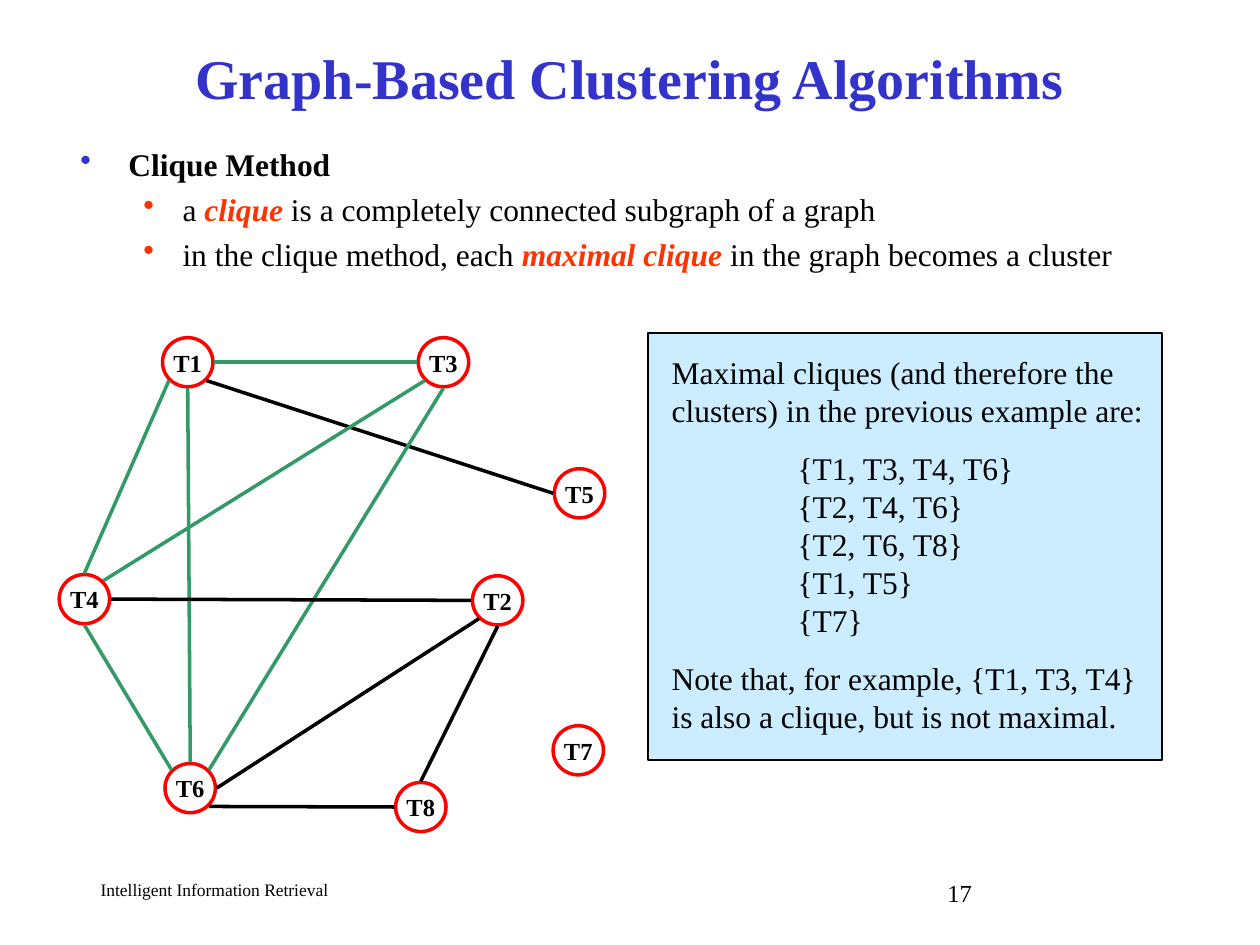
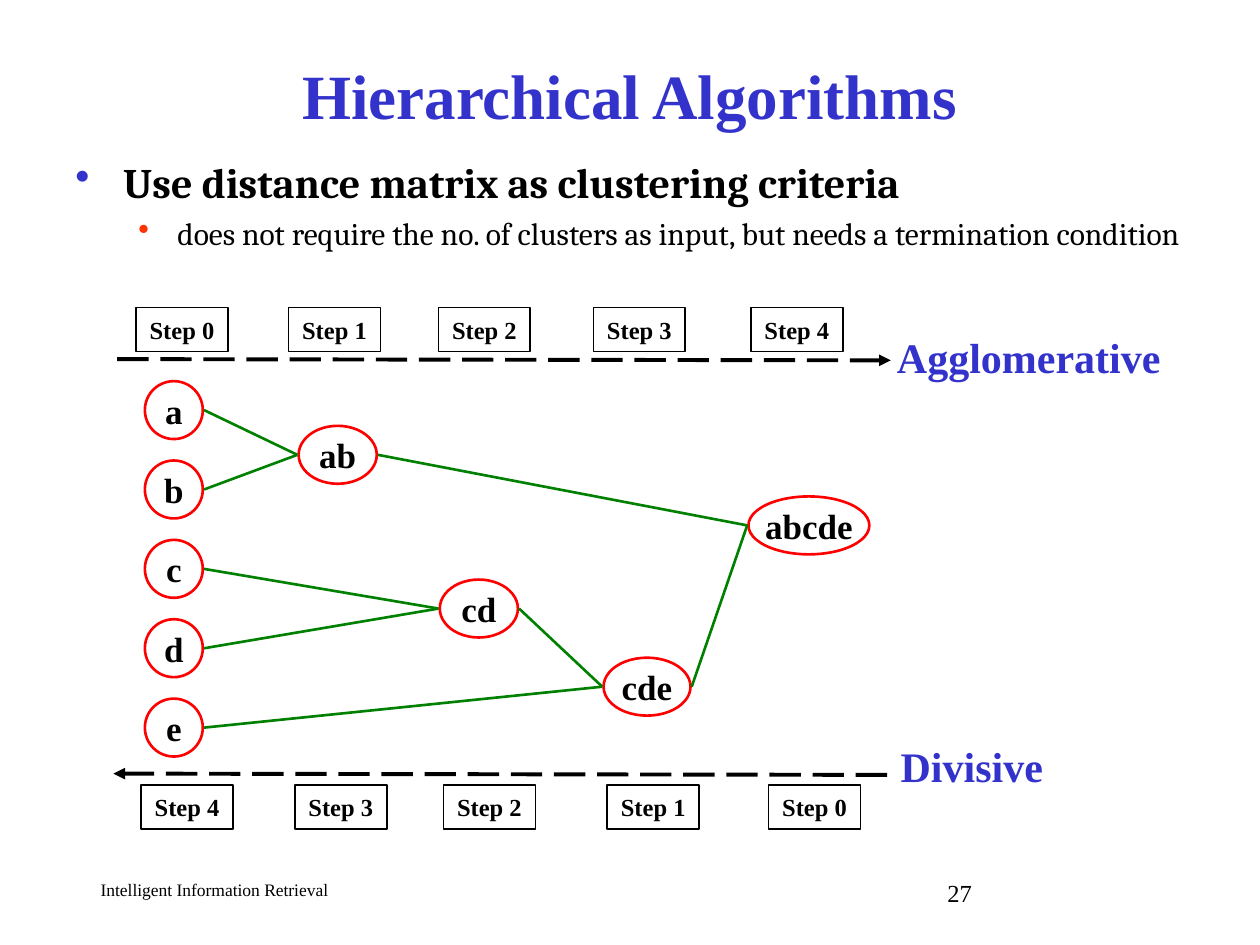
from dataclasses import dataclass
from lxml import etree
from pptx import Presentation, util as u
from pptx.dml.color import RGBColor
from pptx.enum import dml, shapes, text
from pptx.oxml.ns import qn

LEFT, MID = text.PP_ALIGN.LEFT, text.PP_ALIGN.CENTER


@dataclass(frozen=True)
class Theme:
    """Colours, fonts and type sizes shared by the slides."""
    ink: str = "000000"
    blue: str = "3333CC"
    accent: str = "FF3300"
    ring: str = "FF0000"
    panel: str = "CCECFF"
    clique: str = "339966"
    merge: str = "008000"
    serif: str = "Times New Roman"
    alt: str = "Cambria"
    foot: int = 10
    small: int = 14
    text: int = 18
    node: int = 20
    large: int = 24


class Deck:
    """Draws styled elements on a grid of 100 columns by 75 rows."""

    def __init__(self, theme):
        self.theme = theme
        self.prs = Presentation()
        self.prs.slide_width, self.prs.slide_height = u.Inches(10), u.Inches(7.5)
        self.slide = None

    def grid(self, *cells):
        sides = self.prs.slide_width / 100, self.prs.slide_height / 75
        return [round(c * sides[i % 2]) for i, c in enumerate(cells)]

    def font(self, font, size, color=None, bold=False, face=None):
        font.size, font.bold = u.Pt(size), bold
        font.name = face or self.theme.serif
        font.color.rgb = RGBColor.from_string(color or self.theme.ink)

    def pen(self, line, color, width):
        line.color.rgb = RGBColor.from_string(color)
        line.width = u.Pt(width)

    def page(self, title, size, high, number):
        self.slide = self.prs.slides.add_slide(self.prs.slide_layouts[5])
        head = self.slide.shapes.title
        head.left, head.top, head.width, head.height = self.grid(7.5, 3.3, 85, high)
        frame = head.text_frame
        frame.text = title
        frame.auto_size = text.MSO_AUTO_SIZE.NONE
        frame.vertical_anchor = text.MSO_ANCHOR.MIDDLE
        frame.paragraphs[0].alignment = MID
        self.font(frame.paragraphs[0].font, size, self.theme.blue, True)
        self.label((7, 69.3, 37.5, 2.5), "Intelligent Information Retrieval", self.theme.foot)
        self.label((74.2, 69.2, 20.8, 2.5), number, self.theme.small)

    def label(self, box, words, size, color=None, bold=False):
        frame = self.slide.shapes.add_textbox(*self.grid(*box)).text_frame
        frame.word_wrap = True
        frame.text = words
        self.font(frame.paragraphs[0].font, size, color, bold)

    def bullets(self, box, items, face=None):
        frame = self.slide.shapes.add_textbox(*self.grid(*box)).text_frame
        frame.word_wrap = True
        for i, (level, size, words) in enumerate(items):
            para = frame.paragraphs[0] if i == 0 else frame.add_paragraph()
            para.level = level
            para.space_before = u.Pt(round(size * 0.24, 1))
            left, hang, color = ((0.38, 0.38, self.theme.blue),
                                 (0.81, 0.31, self.theme.accent))[level]
            props = para._p.get_or_add_pPr()
            props.set("marL", str(u.Inches(left)))
            props.set("indent", str(-u.Inches(hang)))
            tint = etree.SubElement(props, qn("a:buClr"))
            etree.SubElement(tint, qn("a:srgbClr"), val=color)
            etree.SubElement(props, qn("a:buChar"), char="•")
            self.font(para.font, size, bold=level == 0, face=face)
            for j, part in enumerate(words.split("*")):
                run = para.add_run()
                run.text = part
                if j % 2:
                    self.font(run.font, size, self.theme.accent, True, face)
                    run.font.italic = True

    def shape(self, kind, box, color, width, fill=None):
        item = self.slide.shapes.add_shape(kind, *self.grid(*box))
        item.shadow.inherit = False
        if fill:
            item.fill.solid()
            item.fill.fore_color.rgb = RGBColor.from_string(fill)
        else:
            item.fill.background()
        self.pen(item.line, color, width)
        return item

    def tag(self, kind, box, words, size, color, width):
        frame = self.shape(kind, box, color, width).text_frame
        frame.margin_left = frame.margin_right = 0
        frame.margin_top = frame.margin_bottom = 0
        frame.word_wrap = False
        frame.vertical_anchor = text.MSO_ANCHOR.MIDDLE
        frame.text = words
        frame.paragraphs[0].alignment = MID
        self.font(frame.paragraphs[0].font, size, bold=True)

    def node(self, box, name, size, width):
        self.tag(shapes.MSO_SHAPE.OVAL, box, name, size, self.theme.ring, width)

    def step(self, x, y, name):
        self.tag(shapes.MSO_SHAPE.RECTANGLE, (x, y, 7.3, 3.5), name,
                 self.theme.small, self.theme.ink, 1)

    def panel(self, box, items):
        frame = self.shape(shapes.MSO_SHAPE.RECTANGLE, box, self.theme.ink, 1,
                           self.theme.panel).text_frame
        frame.margin_left, frame.margin_top = self.grid(1.9, 1.6)
        frame.margin_right = u.Inches(0.05)
        frame.word_wrap = True
        frame.vertical_anchor = text.MSO_ANCHOR.TOP
        for i, (words, inset, gap) in enumerate(items):
            para = frame.paragraphs[0] if i == 0 else frame.add_paragraph()
            para.text, para.alignment = words, LEFT
            para.space_before = u.Pt(gap)
            para._p.get_or_add_pPr().set("marL", str(u.Inches(inset)))
            self.font(para.font, self.theme.text)

    def line(self, start, end, color, width, arrow=False):
        item = self.slide.shapes.add_connector(
            shapes.MSO_CONNECTOR.STRAIGHT, *self.grid(*start, *end))
        self.pen(item.line, color, width)
        if arrow:
            item.line.dash_style = dml.MSO_LINE.LONG_DASH
            etree.SubElement(item.line._get_or_add_ln(), qn("a:tailEnd"), type="triangle")
        etree.SubElement(item._element.spPr, qn("a:effectLst"))


def rim(box, side):
    x, y, wide, high = box
    dx = ("e" in side) - ("w" in side)
    dy = ("s" in side) - ("n" in side)
    part = 0.71 if dx and dy else 1
    return (x + wide / 2 + dx * part * (wide / 2 + 0.1),
            y + high / 2 + dy * part * (high / 2 + 0.1))


def graph(deck):
    look = deck.theme
    deck.page("Graph-Based Clustering Algorithms", 32, 5.6, "17")
    deck.bullets((5.4, 11, 87.1, 13.1), [
        (0, look.text, "Clique Method"),
        (1, look.text, "a *clique* is a completely connected subgraph of a graph"),
        (1, look.text, "in the clique method, each *maximal clique* in the graph becomes a cluster")])
    spots = {"T1": (12.9, 26.8), "T8": (31.4, 62.1), "T3": (33.2, 26.8), "T2": (37.5, 45.7),
             "T6": (13.1, 60.6), "T7": (43.9, 57.6), "T4": (4.7, 45.6), "T5": (44, 37.2)}
    nodes = {name: (*spot, 4, 3.9) for name, spot in spots.items()}
    for name, box in nodes.items():
        deck.node(box, name, look.small, 2)
    group = {"T1", "T3", "T4", "T6"}
    for a, out, b, into in [
            ("T1", "sw", "T4", "n"), ("T1", "e", "T3", "w"), ("T1", "s", "T6", "n"),
            ("T1", "se", "T5", "w"), ("T3", "sw", "T4", "ne"), ("T4", "s", "T6", "nw"),
            ("T3", "s", "T6", "ne"), ("T4", "e", "T2", "w"), ("T2", "s", "T8", "n"),
            ("T6", "se", "T8", "w"), ("T2", "sw", "T6", "e")]:
        color = look.clique if {a, b} <= group else look.ink
        deck.line(rim(nodes[a], out), rim(nodes[b], into), color, 2)
    sets = ["{T1, T3, T4, T6}", "{T2, T4, T6}", "{T2, T6, T8}", "{T1, T5}", "{T7}"]
    deck.panel((51.4, 26.4, 40.8, 33.9), [
        ("Maximal cliques (and therefore the clusters) in the previous example are:", 0, 0),
        *[(words, 1, 0 if i else 12) for i, words in enumerate(sets)],
        ("Note that, for example, {T1, T3, T4} is also a clique, but is not maximal.", 0, 12)])


def tree(deck):
    look = deck.theme
    deck.page("Hierarchical Algorithms", 36, 8.3, "27")
    deck.bullets((5, 11.9, 90, 54.7), [
        (0, look.large, "Use distance matrix as clustering criteria"),
        (1, look.text, "does not require the no. of clusters as input, "
                       "but needs a termination condition")], look.alt)
    nodes = {name: (11.5, 30.25 + 6.3 * i, 4.6, 4.6) for i, name in enumerate("abcde")}
    nodes.update({"ab": (23.7, 33.8, 6.2, 4.6), "cd": (34.9, 46, 6.2, 4.6),
                  "cde": (47.9, 52.2, 6.9, 4.6), "abcde": (59.4, 39.4, 9.6, 4.6)})
    for name, box in nodes.items():
        deck.node(box, name, look.node, 1.5)
    for whole, parts in {"ab": "a b", "cd": "c d", "cde": "cd e", "abcde": "ab cde"}.items():
        for part in parts.split():
            deck.line(rim(nodes[part], "e"), rim(nodes[whole], "w"), look.merge, 1.5)
    deck.line((9.3, 28.5), (70.7, 28.6), look.ink, 2.25, True)
    deck.line((70.4, 61.5), (9, 61.4), look.ink, 2.25, True)
    for i, (top, low) in enumerate(zip((10.8, 22.9, 34.8, 47.1, 59.6),
                                       (11.2, 23.4, 35.2, 48.2, 61))):
        deck.step(top, 24.4, f"Step {i}")
        deck.step(low, 62.3, f"Step {4 - i}")
    deck.label((70.2, 25.8, 22.9, 5), "Agglomerative", look.large, look.blue, True)
    deck.label((70.5, 58.3, 13.3, 5), "Divisive", look.large, look.blue, True)


def main():
    deck = Deck(Theme())
    graph(deck)
    tree(deck)
    deck.prs.save("out.pptx")


if __name__ == "__main__":
    main()
